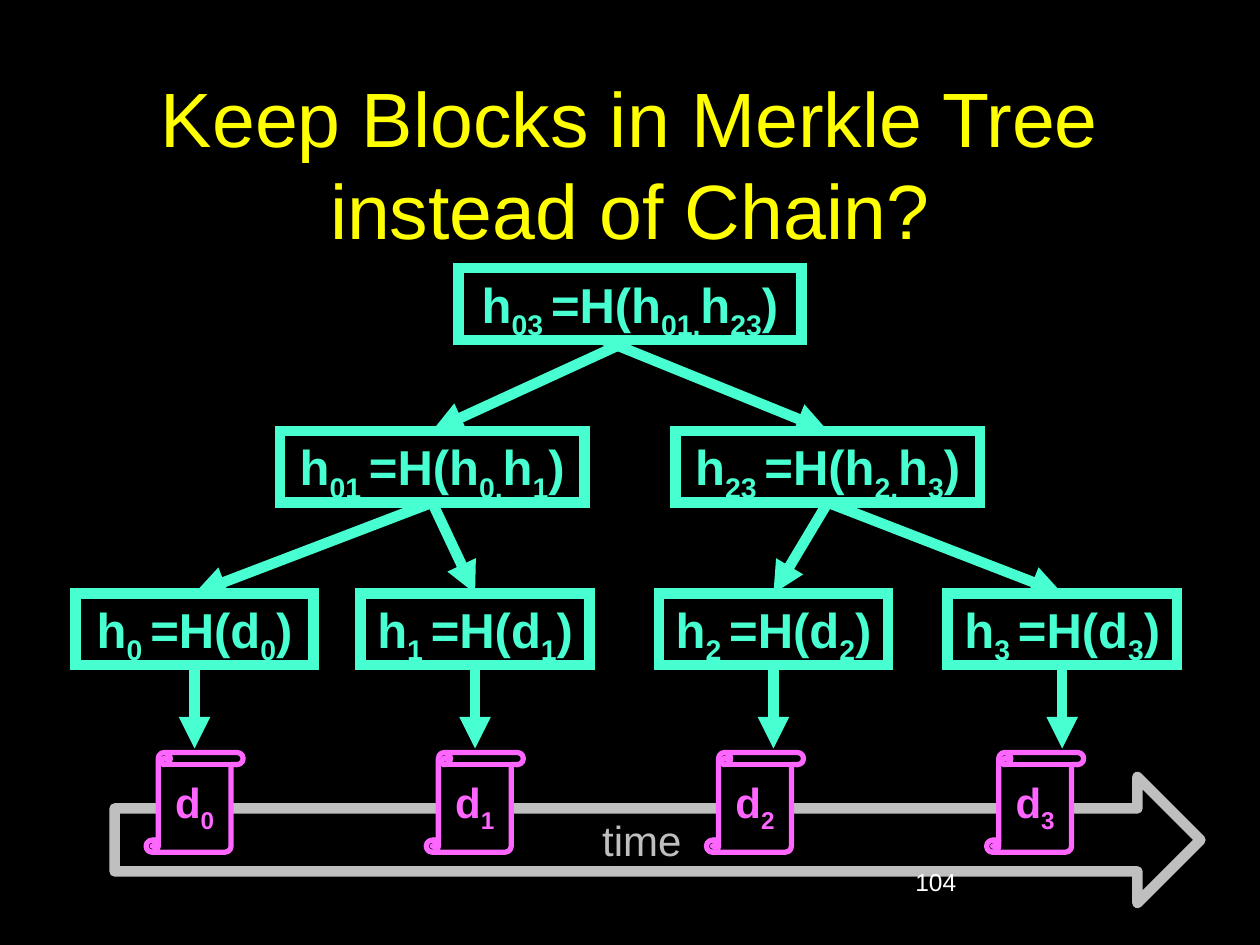
"""Build a slide showing blocks kept in a Merkle tree."""
from lxml.etree import SubElement
from pptx import Presentation
from pptx.dml.color import RGBColor
from pptx.enum.shapes import MSO_CONNECTOR, MSO_SHAPE
from pptx.enum.text import MSO_ANCHOR, PP_ALIGN
from pptx.oxml.ns import qn
from pptx.util import Pt

BLACK, MINT, PINK = "000000", "47FFD1", "FF66FF"
GREY, YELLOW, WHITE = "BFBFBF", "FFFF00", "FFFFFF"
TOP, STEP, HIGH = 153.3, 92.9, 41


def paint(color, code):
    color.rgb = RGBColor.from_string(code)


class Board:
    """Hold the style and the current slide."""

    def __init__(self, slide, font="Arial"):
        self.slide, self.font = slide, font
        back = slide.background.fill
        back.solid()
        paint(back.fore_color, BLACK)

    def words(self, shape, text, size, code, bold=False,
              align=PP_ALIGN.CENTER, anchor=MSO_ANCHOR.MIDDLE, wrap=True):
        frame = shape.text_frame
        frame.word_wrap, frame.vertical_anchor = wrap, anchor
        para = frame.paragraphs[0]
        para.alignment = align
        for num, part in enumerate(text.split("_")):
            run = para.add_run()
            run.text = part
            font = run.font
            font.name, font.size, font.bold = self.font, Pt(size), bold
            paint(font.color, code)
            if num % 2:
                font._element.set("baseline", "-25000")

    def label(self, text, left, top, width, height, size, code, **style):
        box = self.slide.shapes.add_textbox(
            Pt(left), Pt(top), Pt(width), Pt(height))
        self.words(box, text, size, code, **style)

    def shape(self, kind, text, left, top, width, height,
              size, code, weight, bend="round", **style):
        item = self.slide.shapes.add_shape(
            kind, Pt(left), Pt(top), Pt(width), Pt(height))
        item.shadow.inherit = False
        item.fill.solid()
        paint(item.fill.fore_color, BLACK)
        paint(item.line.color, code)
        item.line.width = Pt(weight)
        SubElement(item._element.spPr.get_or_add_ln(), qn("a:" + bend))
        self.words(item, text, size, code, **style)
        return item

    def node(self, text, left, width, level):
        return self.shape(MSO_SHAPE.RECTANGLE, text, left, TOP + level * STEP,
                          width, HIGH, 28, MINT, 6, "miter", bold=True,
                          anchor=MSO_ANCHOR.TOP, wrap=False)

    def arrow(self, start, end, head=None, tail=None):
        link = self.slide.shapes.add_connector(
            MSO_CONNECTOR.STRAIGHT, *map(Pt, start + end))
        if head is not None:
            link.begin_connect(head, 2)
        if tail is not None:
            link.end_connect(tail, 0)
        paint(link.line.color, MINT)
        link.line.width = Pt(6)
        props = link._element.spPr
        SubElement(props.get_or_add_ln(), qn("a:tailEnd"), type="triangle")
        SubElement(props, qn("a:effectLst"))


def main():
    deck = Presentation()
    deck.slide_width, deck.slide_height = Pt(720), Pt(540)
    board = Board(deck.slides.add_slide(deck.slide_layouts[6]))

    board.shape(MSO_SHAPE.RIGHT_ARROW, "time", 65.5, 444, 620.5, 72,
                24, GREY, 6)
    board.label("Keep Blocks in Merkle Tree instead of Chain?",
                54, 48, 612, 90, 44, YELLOW)
    board.label("104", 516, 492, 150, 36, 14, WHITE,
                align=PP_ALIGN.LEFT, anchor=MSO_ANCHOR.TOP)

    root = board.node("h_03 _=H(h_01,_h_23_)", 262, 196, 0)
    mids = [board.node("h_01 _=H(h_0,_h_1_)", 160, 174, 1),
            board.node("h_23 _=H(h_2,_h_3_)", 386, 174, 1)]
    spans = [(43.2, 136), (206, 131), (376.5, 131), (541.5, 131)]
    origin = (0, 0)
    board.arrow(origin, origin, root, mids[0])
    board.arrow((345, TOP + HIGH), origin, tail=mids[1])

    for num, (left, width) in enumerate(spans):
        leaf = board.node(f"h_{num} _=H(d_{num}_)", left, width, 2)
        board.arrow(origin, origin, mids[num // 2], leaf)
        board.arrow(origin, (left + width / 2, 427.7), leaf)
        board.shape(MSO_SHAPE.VERTICAL_SCROLL, f"d_{num}",
                    83.5 + 160.1 * num, 430, 55.5, 57, 24, PINK, 3,
                    bold=True, wrap=False)

    deck.save("out.pptx")


if __name__ == "__main__":
    main()
